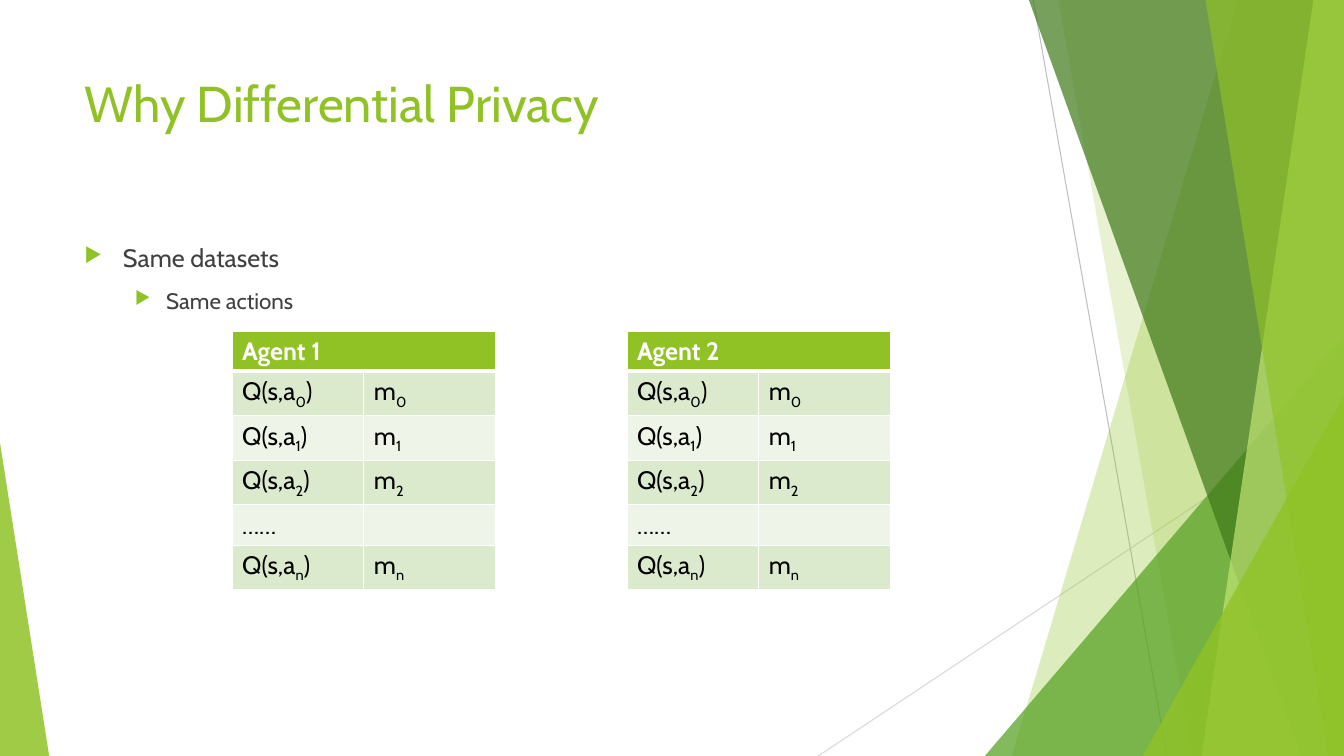
from lxml import etree
from pptx import Presentation
from pptx.dml.color import RGBColor
from pptx.enum.shapes import MSO_CONNECTOR, MSO_SHAPE
from pptx.enum.text import MSO_ANCHOR, MSO_AUTO_SIZE, PP_ALIGN
from pptx.oxml import parse_xml
from pptx.oxml.ns import nsdecls, qn
from pptx.util import Cm, Pt

STRAIGHT = MSO_CONNECTOR.STRAIGHT
TRIANGLE = MSO_SHAPE.ISOSCELES_TRIANGLE
TOP, NO_FIT = MSO_ANCHOR.TOP, MSO_AUTO_SIZE.NONE
LEFT, JUSTIFY = PP_ALIGN.LEFT, PP_ALIGN.JUSTIFY

GREEN = RGBColor(0x90, 0xC2, 0x26)
MID_GREEN = RGBColor(0x54, 0xA0, 0x21)
DARK_GREEN = RGBColor(0x3F, 0x78, 0x19)
LIME = RGBColor(0xC0, 0xE4, 0x74)
BAND_DARK = RGBColor(0xDB, 0xE9, 0xCD)
BAND_LIGHT = RGBColor(0xEE, 0xF4, 0xE8)
GREY = RGBColor(0xBF, 0xBF, 0xBF)
LIGHT_GREY = RGBColor(0xD9, 0xD9, 0xD9)
TEXT_GREY = RGBColor(0x40, 0x40, 0x40)
WHITE = RGBColor(0xFF, 0xFF, 0xFF)
BLACK = RGBColor(0, 0, 0)

FONT = "Cabin"
W, H = 33.87, 19.05


def style_run(r, size, color, bold=False):
    r.font.name, r.font.size, r.font.bold = FONT, Pt(size), bold
    r.font.color.rgb = color


def style_facet(sp, color, alpha):
    sp.shadow.inherit = False
    sp.line.fill.background()
    sp.fill.solid()
    sp.fill.fore_color.rgb = color
    clr = sp._element.spPr.find(qn("a:solidFill"))[0]
    etree.SubElement(clr, qn("a:alpha")).set("val", str(alpha * 1000))


def add_hairline(slide, x1, y1, x2, y2, color):
    line = slide.shapes.add_connector(STRAIGHT, Cm(x1), Cm(y1), Cm(x2), Cm(y2))
    line.line.color.rgb, line.line.width = color, Pt(0.75)
    etree.SubElement(line._element.spPr, qn("a:effectLst"))


def add_band(slide, top_x, bottom_x, color, alpha):
    """Full-height band from a slanted left side to the right slide edge."""
    builder = slide.shapes.build_freeform(Cm(top_x), 0)
    builder.add_line_segments(
        [(Cm(W), 0), (Cm(W), Cm(H)), (Cm(bottom_x), Cm(H))], close=True)
    style_facet(builder.convert_to_shape(), color, alpha)


def add_corner(slide, x, y, w, apex, color, alpha):
    """Triangle that stands on the bottom slide edge."""
    sp = slide.shapes.add_shape(TRIANGLE, Cm(x), Cm(y), Cm(w), Cm(H - y))
    sp.adjustments[0] = apex
    style_facet(sp, color, alpha)


def add_facets(slide):
    add_hairline(slide, 26.04, 0, 29.41, H, GREY)
    add_hairline(slide, W, 10.24, 20.62, H, LIGHT_GREY)
    add_band(slide, 31.19, 25.5, GREEN, 30)
    add_band(slide, 26.67, 30.05, GREEN, 20)
    add_corner(slide, 24.82, 8.46, W - 24.82, 1, MID_GREEN, 72)
    add_band(slide, 25.93, 32.79, DARK_GREEN, 70)
    add_band(slide, 33.1, 30.28, LIME, 70)
    add_band(slide, 30.38, 33.48, GREEN, 65)
    add_corner(slide, 28.8, 9.98, W - 28.8, 1, GREEN, 80)
    add_corner(slide, 0, 11.15, 1.24, 0, GREEN, 85)


def set_title(slide, text, x, y, w, h):
    title = slide.shapes.title
    title.left, title.top, title.width, title.height = Cm(x), Cm(y), Cm(w), Cm(h)
    tf = title.text_frame
    tf.text = text
    tf.vertical_anchor, tf.auto_size = TOP, NO_FIT
    p = tf.paragraphs[0]
    p.alignment = LEFT
    style_run(p.runs[0], 36, GREEN)


def add_bullets(slide, items, x, y, w, h):
    tf = slide.shapes.add_textbox(Cm(x), Cm(y), Cm(w), Cm(h)).text_frame
    tf.word_wrap = True
    for i, (text, level, size, margin, hanging) in enumerate(items):
        p = tf.add_paragraph() if i else tf.paragraphs[0]
        p.text, p.level, p.space_before = text, level, Pt(10)
        style_run(p.runs[0], size, TEXT_GREY)
        pPr = p._p.get_or_add_pPr()
        pPr.set("marL", str(Cm(margin)))
        pPr.set("indent", str(-Cm(hanging)))
        clr = etree.SubElement(pPr, qn("a:buClr"))
        etree.SubElement(clr, qn("a:srgbClr")).set("val", str(GREEN))
        etree.SubElement(pPr, qn("a:buSzPct")).set("val", "80000")
        etree.SubElement(pPr, qn("a:buChar")).set("char", "\u25b6")


def style_cell(cell, fill, top=1, bottom=1):
    tcPr = cell._tc.get_or_add_tcPr()
    for side, width in (("L", 1), ("R", 1), ("T", top), ("B", bottom)):
        tcPr.append(parse_xml(
            f'<a:ln{side} {nsdecls("a")} w="{Pt(width)}"><a:solidFill>'
            f'<a:srgbClr val="{WHITE}"/></a:solidFill></a:ln{side}>'))
    cell.fill.solid()
    cell.fill.fore_color.rgb = fill


def write_indexed(cell, parts):
    """Write the parts in turn; every second one is a subscript."""
    p = cell.text_frame.paragraphs[0]
    for i, text in enumerate(parts):
        r = p.add_run()
        r.text = text
        style_run(r, 18, BLACK)
        if i % 2:
            r._r.get_or_add_rPr().set("baseline", "-25000")


def add_agent_table(slide, name, indices, x, y, w):
    heights = [0.74] + [0.99] * len(indices)
    table = slide.shapes.add_table(len(heights), 2, Cm(x), Cm(y), Cm(w),
                                   Cm(sum(heights))).table
    for row, height in zip(table.rows, heights):
        row.height = Cm(height)
    # Header
    for col in range(2):
        table.columns[col].width = Cm(w / 2)
        style_cell(table.cell(0, col), GREEN, bottom=3)
    header = table.cell(0, 0)
    header.merge(table.cell(0, 1))
    header.text_frame.text = name
    p = header.text_frame.paragraphs[0]
    p.alignment = JUSTIFY
    style_run(p.runs[0], 18, WHITE, bold=True)
    # Q-values and their counts
    for row, index in enumerate(indices, start=1):
        if index:
            texts = ["Q(s,a", index, ")"], ["m", index]
        else:
            texts = ["\u2026\u2026"], []
        for col, parts in enumerate(texts):
            cell = table.cell(row, col)
            style_cell(cell, BAND_DARK if row % 2 else BAND_LIGHT,
                       top=3 if row == 1 else 1)
            write_indexed(cell, parts)


def build_privacy_slide(prs):
    slide = prs.slides.add_slide(prs.slide_layouts[5])
    add_facets(slide)
    set_title(slide, "Why Differential Privacy", 1.88, 1.7, 23.88, 3.66)
    add_bullets(slide, [("Same datasets", 0, 18, 0.97, 0.97),
                        ("Same actions", 1, 16, 2.06, 0.79)],
                1.88, 5.99, 23.88, 10.77)
    for name, x in (("Agent 1", 5.85), ("Agent 2", 15.8)):
        add_agent_table(slide, name, ["0", "1", "2", None, "n"], x, 8.34, 6.64)


prs = Presentation()
prs.slide_width, prs.slide_height = Cm(W), Cm(H)
build_privacy_slide(prs)
prs.save("out.pptx")
